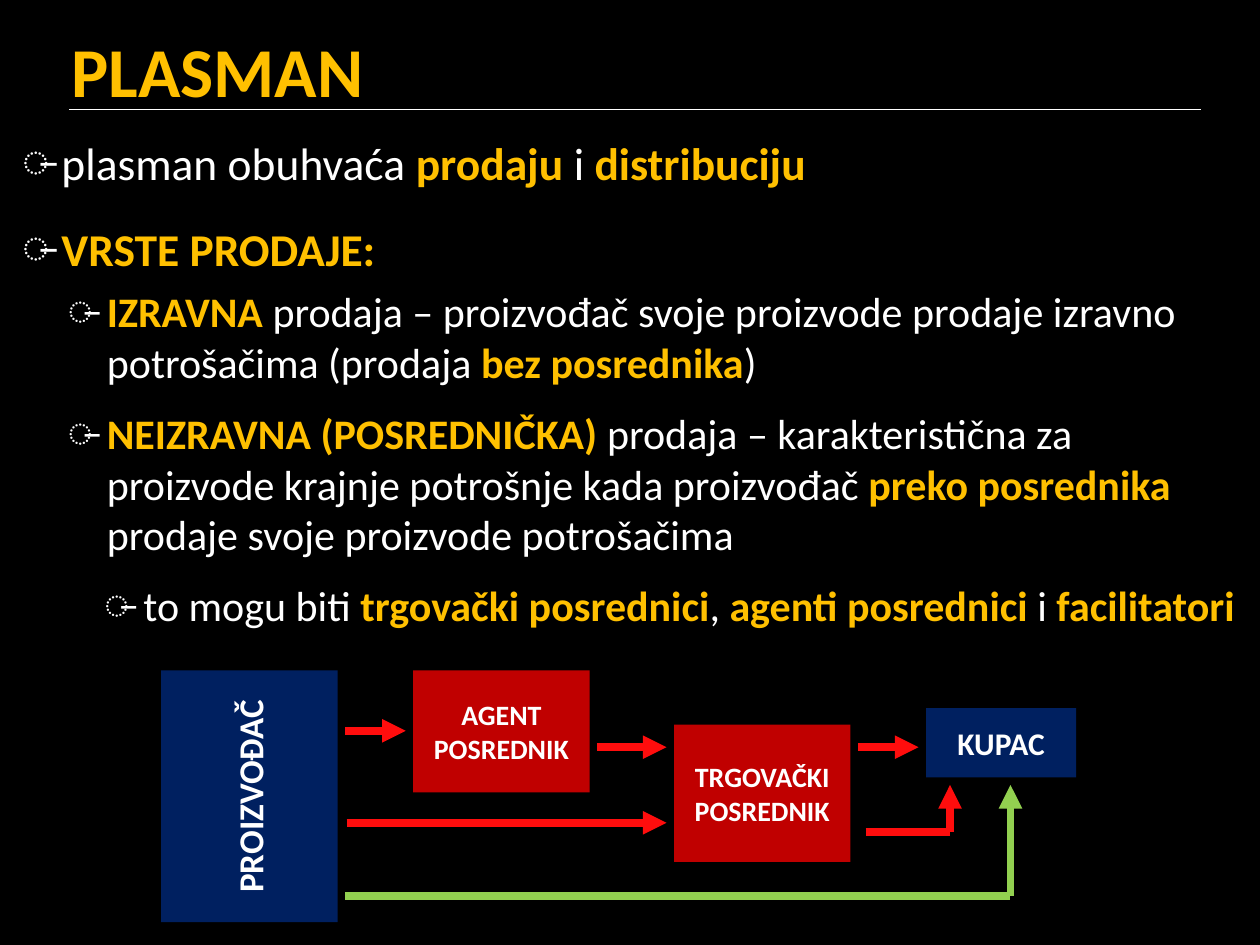
from dataclasses import dataclass

from lxml import etree
from pptx import Presentation
from pptx.dml.color import RGBColor
from pptx.enum.shapes import MSO_CONNECTOR as Connector, MSO_SHAPE as Shape
from pptx.enum.text import MSO_ANCHOR as Anchor, PP_ALIGN as Align
from pptx.oxml.ns import qn
from pptx.util import Inches, Pt


@dataclass(frozen=True)
class Theme:
    font: str = "Calibri"
    background: str = "000000"
    text: str = "FFFFFF"
    accent: str = "FFC000"
    company: str = "002060"
    agent: str = "C00000"
    indirect: str = "FF0D0D"
    direct: str = "92D050"
    title_size: float = 40
    lead_size: float = 26
    detail_size: float = 24
    producer_size: float = 20
    buyer_size: float = 18
    agent_size: float = 16
    rule_width: float = 1
    arrow_width: float = 4.5


THEME = Theme()
BULLET = "̶"
HANGING = 0.31

POINTS = [
    (0.31, 24, THEME.lead_size, "plasman obuhvaća |prodaju| i |distribuciju"),
    (0.31, 18, THEME.lead_size, "|VRSTE PRODAJE:"),
    (0.67, 6, THEME.detail_size,
     "|IZRAVNA| prodaja – proizvođač svoje proizvode prodaje izravno "
     "potrošačima (prodaja |bez posrednika|)"),
    (0.67, 12, THEME.detail_size,
     "|NEIZRAVNA (POSREDNIČKA) |prodaja – karakteristična za proizvode krajnje "
     "potrošnje kada proizvođač |preko posrednika |prodaje svoje proizvode potrošačima"),
    (0.96, 12, THEME.detail_size,
     "to mogu biti |trgovački posrednici|, |agenti posrednici |i |facilitatori"),
]

PARTIES = [
    ("AGENT POSREDNIK", 2, 0, 1.4, 0.97, THEME.agent, THEME.agent_size),
    ("TRGOVAČKI POSREDNIK", 4.07, 0.43, 1.4, 1.09, THEME.agent, THEME.agent_size),
    ("KUPAC", 6.07, 0.3, 1.19, 0.55, THEME.company, THEME.buyer_size),
    ("PROIZVOĐAČ", 0, 0, 1.4, 2, THEME.company, THEME.producer_size),
]

ROUTES = [
    (THEME.indirect, [(1.46, 0.48), (1.94, 0.48)]),
    (THEME.indirect, [(1.47, 1.21), (4.01, 1.21)]),
    (THEME.indirect, [(3.46, 0.61), (4.01, 0.61)]),
    (THEME.indirect, [(5.53, 0.61), (6.01, 0.61)]),
    (THEME.direct, [(1.46, 1.79), (6.74, 1.79), (6.74, 0.91)]),
    (THEME.indirect, [(5.59, 1.28), (6.26, 1.28), (6.26, 0.91)]),
]


def add_run(paragraph, text, size, color, bold):
    run = paragraph.add_run()
    run.text = text
    run.font.name = THEME.font
    run.font.size = Pt(size)
    run.font.bold = bold
    run.font.color.rgb = RGBColor.from_string(color)


def add_line(slide, start, end, color, width, arrow=False):
    line = slide.shapes.add_connector(
        Connector.STRAIGHT, *(Inches(value) for value in (*start, *end)))
    line.line.color.rgb = RGBColor.from_string(color)
    line.line.width = Pt(width)
    if arrow:
        etree.SubElement(line.line._get_or_add_ln(), qn("a:tailEnd"), type="triangle")
    etree.SubElement(line._element.spPr, qn("a:effectLst"))


def add_frame(slide, left, top, width, height):
    frame = slide.shapes.add_textbox(
        Inches(left), Inches(top), Inches(width), Inches(height)).text_frame
    frame.word_wrap = True
    return frame


def set_bullet(paragraph, indent):
    properties = paragraph._p.get_or_add_pPr()
    properties.set("marL", str(Inches(indent)))
    properties.set("indent", str(-Inches(HANGING)))
    color = etree.SubElement(properties, qn("a:buClr"))
    etree.SubElement(color, qn("a:srgbClr"), val=THEME.text)
    etree.SubElement(properties, qn("a:buFont"), typeface=THEME.font)
    etree.SubElement(properties, qn("a:buChar"), char=BULLET)


def add_heading(slide, left, top, width, height):
    add_line(slide, (left + 0.08, top + 0.79), (left + 9.06, top + 0.79),
             THEME.text, THEME.rule_width)
    frame = add_frame(slide, left, top, width, height)
    frame.vertical_anchor = Anchor.MIDDLE
    add_run(frame.paragraphs[0], "PLASMAN", THEME.title_size, THEME.accent, True)


def add_points(slide, left, top, width, height):
    frame = add_frame(slide, left, top, width, height)
    for number, (indent, space, size, wording) in enumerate(POINTS):
        point = frame.add_paragraph() if number else frame.paragraphs[0]
        point.space_before = Pt(space)
        set_bullet(point, indent)
        for position, phrase in enumerate(wording.split("|")):
            stressed = position % 2 == 1
            if phrase:
                add_run(point, phrase, size,
                        THEME.accent if stressed else THEME.text, stressed)


def add_party(slide, name, left, top, width, height, color, size):
    party = slide.shapes.add_shape(
        Shape.RECTANGLE, Inches(left), Inches(top), Inches(width), Inches(height))
    party.shadow.inherit = False
    party.fill.solid()
    party.fill.fore_color.rgb = RGBColor.from_string(color)
    party.line.fill.background()
    frame = party.text_frame
    frame.word_wrap = True
    frame.vertical_anchor = Anchor.MIDDLE
    if height > width:
        frame._txBody.bodyPr.set("vert", "vert270")
    frame.paragraphs[0].alignment = Align.CENTER
    add_run(frame.paragraphs[0], name, size, THEME.text, True)


def add_sales_channels(slide, left, top):
    for name, x, y, *style in PARTIES:
        add_party(slide, name, left + x, top + y, *style)
    for color, stops in ROUTES:
        corners = [(left + x, top + y) for x, y in stops]
        for start, end in zip(corners, corners[1:]):
            add_line(slide, start, end, color, THEME.arrow_width, end == corners[-1])


def main():
    deck = Presentation()
    deck.slide_width, deck.slide_height = Inches(10), Inches(7.5)
    slide = deck.slides.add_slide(deck.slide_layouts[6])
    slide.background.fill.solid()
    slide.background.fill.fore_color.rgb = RGBColor.from_string(THEME.background)
    add_heading(slide, 0.47, 0.08, 9.14, 0.95)
    add_points(slide, 0.08, 1.02, 9.84, 6.09)
    add_sales_channels(slide, 1.28, 5.32)
    deck.save("out.pptx")


if __name__ == "__main__":
    main()
